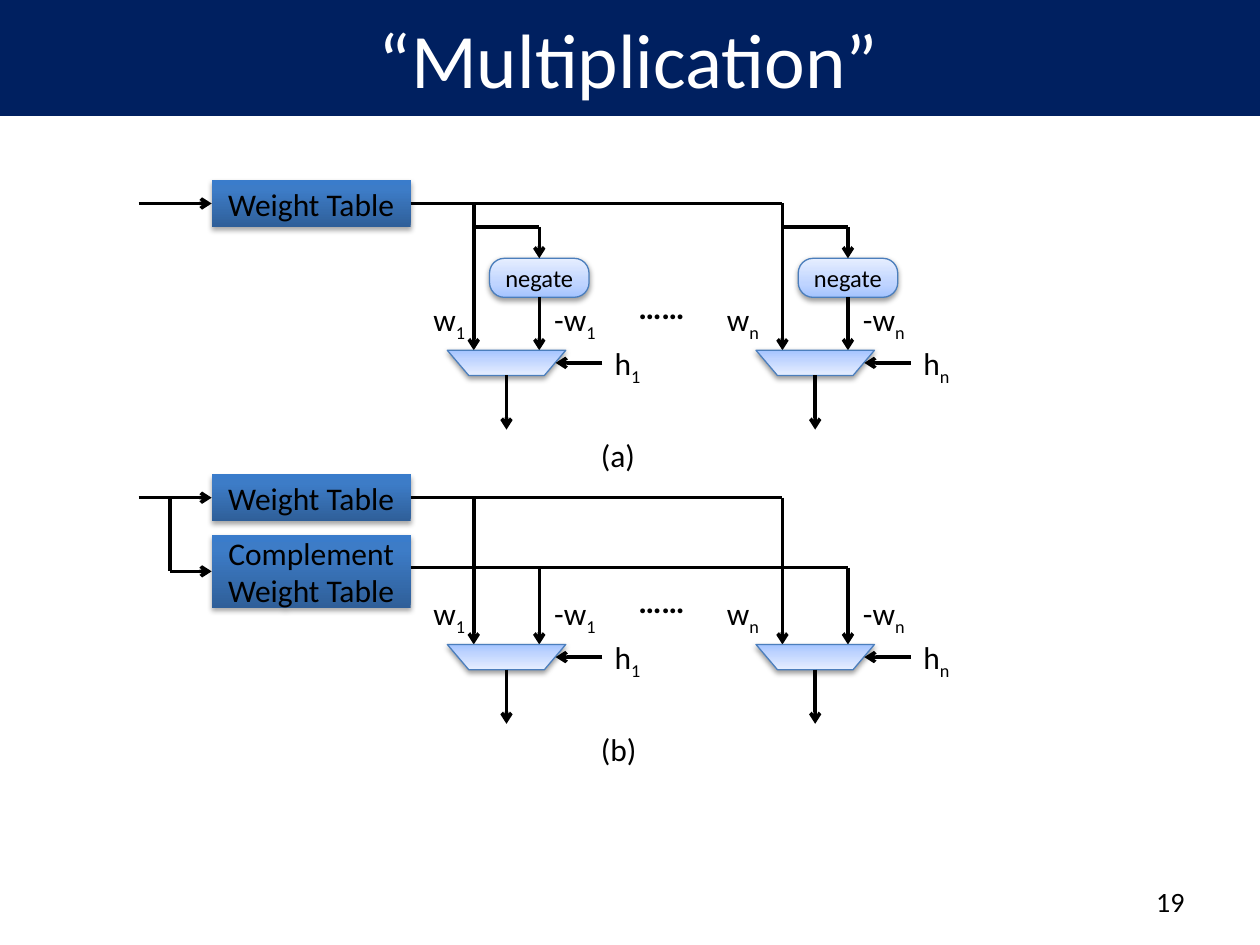
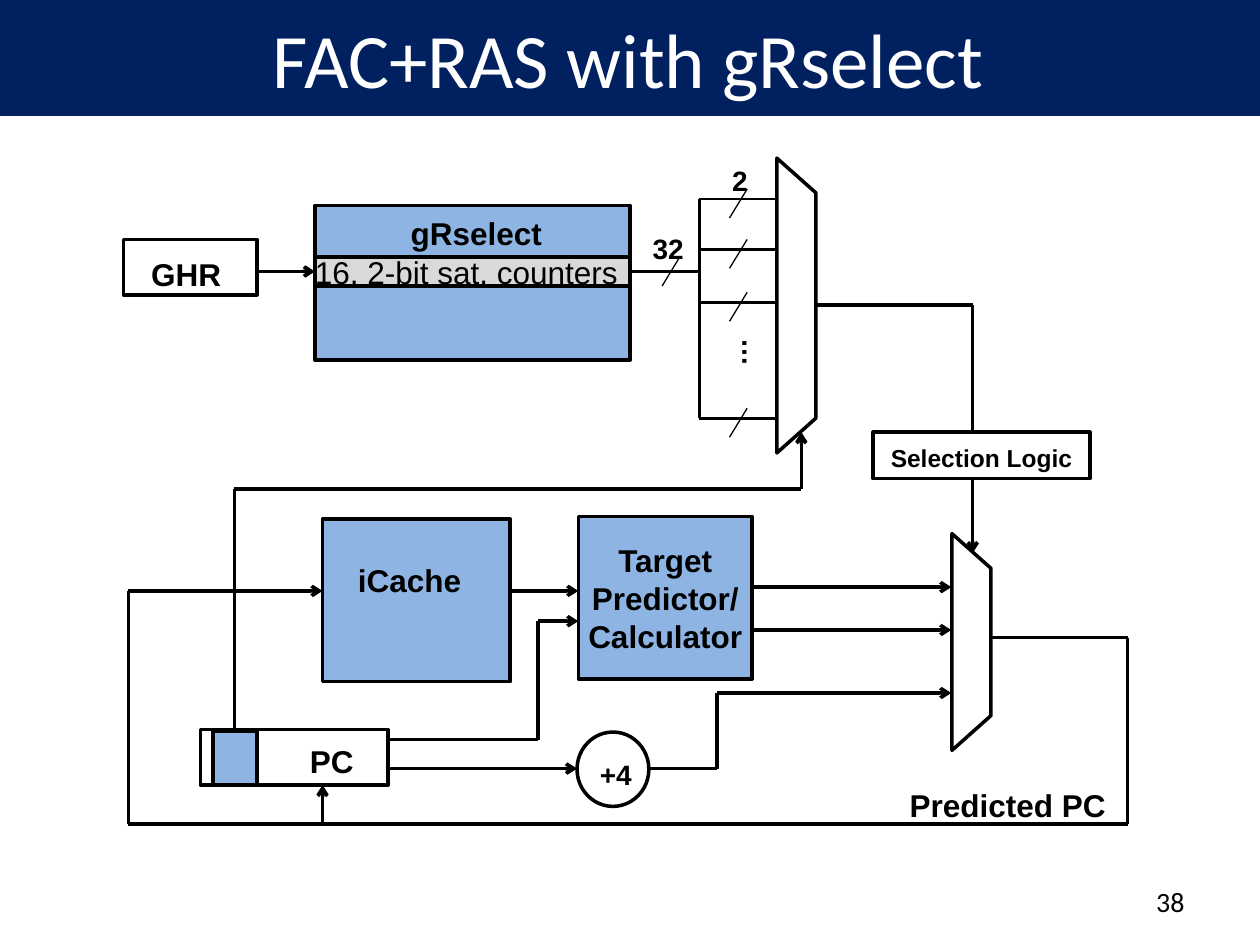
from dataclasses import dataclass
from lxml.etree import SubElement
from pptx import Presentation
from pptx.dml.color import RGBColor
from pptx.enum.shapes import MSO_CONNECTOR, MSO_SHAPE as SHAPE
from pptx.enum.text import MSO_ANCHOR as ANCHOR, MSO_AUTO_SIZE as AUTO_SIZE, PP_ALIGN as ALIGN
from pptx.oxml.ns import qn
from pptx.util import Inches, Pt

# Shared look
NAVY = RGBColor(0x00, 0x20, 0x60)
WHITE = RGBColor(0xFF, 0xFF, 0xFF)
BLACK = RGBColor(0x00, 0x00, 0x00)
SKY = RGBColor(0x8E, 0xB4, 0xE3)
GREY = RGBColor(0xD9, 0xD9, 0xD9)
EDGE_BLUE = RGBColor(0x4B, 0x7E, 0xBC)
DEEP_STOPS = [(0, RGBColor(0x2F, 0x5F, 0x99)), (80, RGBColor(0x3D, 0x7C, 0xC7)),
              (100, RGBColor(0x3A, 0x7C, 0xCB))]
PALE_STOPS = [(0, RGBColor(0xA4, 0xC4, 0xFF)), (35, RGBColor(0xBF, 0xD4, 0xFF)),
              (100, RGBColor(0xE6, 0xEE, 0xFF))]
BODY_FONT, DIAGRAM_FONT = "Calibri", "Arial"
DEFAULT_INSETS = (0.1, 0.05, 0.1, 0.05)
LABEL_INSETS = (0.18, 0.09, 0.18, 0.09)

# The slide is a grid of 100 columns by 75 rows
SLIDE_W, SLIDE_H = Inches(10), Inches(7.5)
COLUMN, ROW = SLIDE_W / 100, SLIDE_H / 75
TOP, LEFT, BOTTOM, RIGHT = range(4)


@dataclass
class Region:
    """Part of a slide whose contents are placed from its top left corner."""
    slide: object
    left: float
    top: float

    def inner(self, x, y):
        return Region(self.slide, self.left + x, self.top + y)

    def point(self, x, y):
        return round((self.left + x) * COLUMN), round((self.top + y) * ROW)

    def frame(self, x, y, w, h):
        return *self.point(x, y), round(w * COLUMN), round(h * ROW)

    def block(self, kind, box, fill=None, edge=BLACK, weight=2):
        shape = self.slide.shapes.add_shape(kind, *self.frame(*box))
        shape.shadow.inherit = False
        if fill is None:
            shape.fill.background()
        else:
            shape.fill.solid()
            shape.fill.fore_color.rgb = fill
        if edge is None:
            shape.line.fill.background()
        else:
            shape.line.color.rgb = edge
            shape.line.width = Pt(weight)
        return shape

    def wire(self, *points, arrow=False, weight=2, start=None, finish=None):
        """Draw straight segments; start and finish are (shape, side) joints."""
        segments = []
        for begin, end in zip(points, points[1:]):
            segment = self.slide.shapes.add_connector(
                MSO_CONNECTOR.STRAIGHT, *self.point(*begin), *self.point(*end))
            segment.line.color.rgb = BLACK
            segment.line.width = Pt(weight)
            segments.append(segment)
        if start:
            segments[0].begin_connect(*start)
        if finish:
            segments[-1].end_connect(*finish)
        if arrow:
            SubElement(segments[-1].line._get_or_add_ln(), qn("a:tailEnd"), type="arrow")
        for segment in segments:
            SubElement(segment._element.spPr, qn("a:effectLst"))

    def note(self, words, box, **style):
        label = self.slide.shapes.add_textbox(*self.frame(*box))
        write(label, words, **style)
        return label

    def tag(self, words, box, size=18, insets=LABEL_INSETS):
        """Bold label of the block diagram."""
        label = self.note(words, box, size=size, font=DIAGRAM_FONT, bold=True, insets=insets)
        space(label)
        return label


def write(shape, words, size=18, font=BODY_FONT, color=BLACK, bold=False,
          align=ALIGN.LEFT, anchor=ANCHOR.TOP, insets=DEFAULT_INSETS, wrap=True):
    frame = shape.text_frame
    frame.text = words
    frame.word_wrap = wrap
    frame.auto_size = AUTO_SIZE.NONE
    frame.vertical_anchor = anchor
    (frame.margin_left, frame.margin_top,
     frame.margin_right, frame.margin_bottom) = map(Inches, insets)
    for paragraph in frame.paragraphs:
        paragraph.alignment = align
        for run in paragraph.runs:
            style_run(run, size, font, color, bold)


def style_run(run, size, font=BODY_FONT, color=BLACK, bold=False):
    run.font.size = Pt(size)
    run.font.name = font
    run.font.color.rgb = color
    run.font.bold = bold


def space(shape):
    for paragraph in shape.text_frame.paragraphs:
        paragraph.line_spacing = 1.15
        paragraph.space_after = Pt(10)


def lower(run):
    run.font._element.set("baseline", "-25000")


def shade(shape, stops, opacity, distance):
    """Vertical gradient and a soft shadow below."""
    shape.fill.gradient()
    shape.fill.gradient_angle = 90
    properties = shape._element.spPr
    stop_list = properties.find(qn("a:gradFill")).find(qn("a:gsLst"))
    stop_list.clear()
    for position, color in stops:
        stop = SubElement(stop_list, qn("a:gs"), pos=str(position * 1000))
        SubElement(stop, qn("a:srgbClr"), val=str(color))
    shadow = SubElement(properties.find(qn("a:effectLst")), qn("a:outerShdw"),
                        blurRad=str(Pt(3.1)), dist=str(Pt(distance)),
                        dir="5400000", rotWithShape="0")
    shadow_color = SubElement(shadow, qn("a:srgbClr"), val=str(BLACK))
    SubElement(shadow_color, qn("a:alpha"), val=str(opacity * 1000))


def start_slide(deck, heading, number):
    """Title band and page number; returns the whole slide as a region."""
    slide = deck.slides.add_slide(deck.slide_layouts[5])
    page = Region(slide, 0, 0)
    title = slide.shapes.title
    title.left, title.top, title.width, title.height = page.frame(-0.2, 0, 100.2, 9.2)
    title.fill.solid()
    title.fill.fore_color.rgb = NAVY
    write(title, heading, size=44, color=WHITE, align=ALIGN.CENTER, anchor=ANCHOR.MIDDLE)
    page.note(number, (71.7, 69.5, 23.3, 4), size=16, align=ALIGN.RIGHT, anchor=ANCHOR.MIDDLE)
    return page


# ---- Multiplication slide ----
BUS_Y, COMPLEMENT_BUS_Y = 1.85, 7.4
MUX_Y, LANE_X, LANE_STEP = 13.5, 24.5, 24.5
WEIGHT_X, NEGATED_X = 2.1, 7.3  # wires measured from the left of a lane


def place_table(panel, words, y, height):
    table = panel.block(SHAPE.RECTANGLE, (5.8, y, 15.8, height), edge=None)
    shade(table, DEEP_STOPS, 35, 1.8)
    write(table, words, align=ALIGN.CENTER, anchor=ANCHOR.MIDDLE)
    return table


def place_symbol(lane, letter, index, x, y):
    label = lane.note(letter, (x, y, 5.5, 4))
    subscript = label.text_frame.paragraphs[0].add_run()
    subscript.text = index
    style_run(subscript, 18)
    lower(subscript)


def place_lane(lane, index, weight_label_x, complement):
    """One weight, its negative and the multiplexer that picks between them."""
    lane.wire((WEIGHT_X, BUS_Y), (WEIGHT_X, MUX_Y), arrow=True)
    if complement:
        lane.wire((NEGATED_X, COMPLEMENT_BUS_Y), (NEGATED_X, MUX_Y), arrow=True)
    else:
        negate = lane.block(SHAPE.ROUNDED_RECTANGLE, (3.35, 6.2, 7.9, 3.1),
                            edge=EDGE_BLUE, weight=0.75)
        negate.adjustments[0] = 0.38
        shade(negate, PALE_STOPS, 38, 1.6)
        write(negate, "negate", size=14, align=ALIGN.CENTER, anchor=ANCHOR.MIDDLE,
              insets=[0.05] * 4)
        lane.wire((WEIGHT_X, 3.7), (NEGATED_X, 3.7), (NEGATED_X, 6.2),
                  arrow=True, finish=(negate, TOP))
        lane.wire((NEGATED_X, 9.3), (NEGATED_X, MUX_Y), arrow=True, start=(negate, BOTTOM))
    mux = lane.block(SHAPE.TRAPEZOID, (0, MUX_Y, 9.4, 2), edge=EDGE_BLUE, weight=0.75)
    mux.adjustments[0] = 0.85
    mux.rotation = 180
    shade(mux, PALE_STOPS, 38, 1.6)
    lane.wire((12.3, MUX_Y + 1), (8.6, MUX_Y + 1), arrow=True)
    lane.wire((4.7, MUX_Y + 2), (4.7, 19.8), arrow=True)
    place_symbol(lane, "w", index, weight_label_x, 9)
    place_symbol(lane, "-w", index, 7.5, 9)
    place_symbol(lane, "h", index, 12.3, 12.5)


def place_panel(panel, caption, complement=False):
    weights = place_table(panel, "Weight Table", 0, 3.7)
    panel.wire((0, BUS_Y), (5.8, BUS_Y), arrow=True, finish=(weights, LEFT))
    panel.wire((21.6, BUS_Y), (LANE_X + LANE_STEP + WEIGHT_X, BUS_Y), start=(weights, RIGHT))
    if complement:
        negatives = place_table(panel, "Complement Weight Table", 4.8, 5.8)
        panel.wire((2.5, BUS_Y), (2.5, 7.7), (5.8, 7.7), arrow=True, finish=(negatives, LEFT))
        panel.wire((21.6, COMPLEMENT_BUS_Y),
                   (LANE_X + LANE_STEP + NEGATED_X, COMPLEMENT_BUS_Y))
    for position, (index, label_x) in enumerate([("1", -2.1), ("n", -3.3)]):
        place_lane(panel.inner(LANE_X + position * LANE_STEP, 0), index, label_x, complement)
    dots = panel.note("……", (36, 5, 11, 4.6), size=32, bold=True, align=ALIGN.CENTER)
    lower(dots.text_frame.paragraphs[0].runs[0])
    panel.note(caption, (35.7, 19.8, 5.5, 4))


def build_multiplication(deck):
    page = start_slide(deck, "“Multiplication”", "19")
    place_panel(page.inner(11, 14.3), "(a)")
    place_panel(page.inner(11, 37.65), "(b)", complement=True)


# ---- Predictor slide ----
def place_upright_mux(region, box):
    mux = region.block(SHAPE.TRAPEZOID, box)
    mux.adjustments[0] = 0.89
    mux.rotation = 90


def place_slash(region, x, y):
    """Bus width mark centred on a point."""
    region.wire((x + 0.7, y - 1.15), (x - 0.7, y + 1.15), weight=0.75)


def place_selector(region):
    # History register and counter table
    region.block(SHAPE.RECTANGLE, (0, 7.3, 10.6, 4.4))
    region.tag("GHR", (0.4, 7.2, 12.2, 5.1))
    region.block(SHAPE.RECTANGLE, (15.2, 4.6, 25, 12.3), SKY)
    counters = region.block(SHAPE.RECTANGLE, (15.2, 8.7, 25, 2.3), GREY)
    write(counters, "16, 2-bit sat. counters", font=DIAGRAM_FONT, anchor=ANCHOR.MIDDLE,
          insets=(0, 0.09, 0.18, 0.09), wrap=False)
    region.tag("gRselect", (21, 3.9, 15.5, 5.1))
    region.wire((10.6, 9.85), (15.2, 9.85), arrow=True, finish=(counters, LEFT))
    region.wire((40.2, 9.85), (45.7, 9.85), start=(counters, RIGHT))
    place_slash(region, 43.45, 9.85)
    region.tag("32", (40.2, 5.4, 6.9, 4.2), size=16)

    # Counter bus split into taps
    taps = [4.1, 8.1, 12.3, 21.5]
    region.wire((45.7, taps[-1]), (45.7, taps[0]))
    for tap_y in taps:
        region.wire((45.7, tap_y), (51.9, tap_y), weight=1.5)
        place_slash(region, 48.8, tap_y + 0.35)
    region.tag("2", (46.5, 0, 6.1, 4.2), size=16)
    dots = region.tag("…", (46.8, 14.3, 6.6, 5.1), size=16)
    dots.text_frame._txBody.bodyPr.set("vert", "eaVert")
    place_upright_mux(region, (41.7, 11, 23.4, 3.1))

    # Selection logic
    region.wire((55, 12.5), (67.4, 12.5), (67.4, 22.6))
    logic = region.block(SHAPE.RECTANGLE, (59.5, 22.6, 17.2, 3.7), WHITE)
    write(logic, "Selection Logic", size=14, font=DIAGRAM_FONT, bold=True,
          align=ALIGN.CENTER, anchor=ANCHOR.MIDDLE)
    space(logic)
    region.wire((67.4, 26.3), (67.4, 32.2), arrow=True)


def place_fetch(region):
    # Program counter, with its index bits sent to the upper multiplexer
    region.block(SHAPE.RECTANGLE, (5.7, 19.1, 14.9, 4.4))
    region.block(SHAPE.RECTANGLE, (6.7, 19.2, 3.5, 4.3), SKY)
    region.tag("PC", (12.6, 18.7, 7.6, 5.1))
    region.wire((8.4, 19.1), (8.4, 0), (53.4, 0), (53.4, -4.5), arrow=True)

    # Cache, target predictor and incrementer
    region.block(SHAPE.RECTANGLE, (15.4, 2.4, 14.9, 12.9), SKY)
    region.tag("iCache", (16.4, 4.4, 12.8, 5.1))
    target = region.block(SHAPE.RECTANGLE, (35.7, 2.2, 13.8, 12.9), SKY)
    write(target, "Target Predictor/\nCalculator", font=DIAGRAM_FONT, bold=True,
          align=ALIGN.CENTER, anchor=ANCHOR.MIDDLE, insets=[0] * 4)
    region.block(SHAPE.OVAL, (35.6, 19.3, 5.7, 5.9))
    region.tag("+4", (34.2, 19.3, 9.8, 6.3), size=16, insets=(0.32, 0.16, 0.32, 0.16))
    place_upright_mux(region, (58.3, 10.6, 17.2, 3.1))

    # Paths between the blocks
    for route in [
        [(30.3, 8.1), (35.7, 8.1)],
        [(20.6, 19.9), (32.5, 19.9), (32.5, 10.5), (35.7, 10.5)],
        [(20.6, 22.2), (35.6, 22.2)],
        [(41.3, 22.2), (46.7, 22.2), (46.7, 16.2), (65.3, 16.2)],
        [(49.5, 7.8), (65.3, 7.8)],
        [(49.5, 11.2), (65.3, 11.2)],
        [(68.4, 11.8), (79.3, 11.8), (79.3, 26.6), (0, 26.6), (0, 8.1), (15.4, 8.1)],
        [(15.4, 26.6), (15.4, 23.5)],
    ]:
        region.wire(*route, arrow=True)
    region.tag("Predicted PC", (60.2, 22.2, 20.4, 4.9))


def build_predictor(deck):
    page = start_slide(deck, "FAC+RAS with gRselect", "38")
    place_selector(page.inner(9.8, 11.7))
    place_fetch(page.inner(10.2, 38.8))


def main():
    deck = Presentation()
    deck.slide_width, deck.slide_height = SLIDE_W, SLIDE_H
    build_multiplication(deck)
    build_predictor(deck)
    deck.save("out.pptx")


if __name__ == "__main__":
    main()
